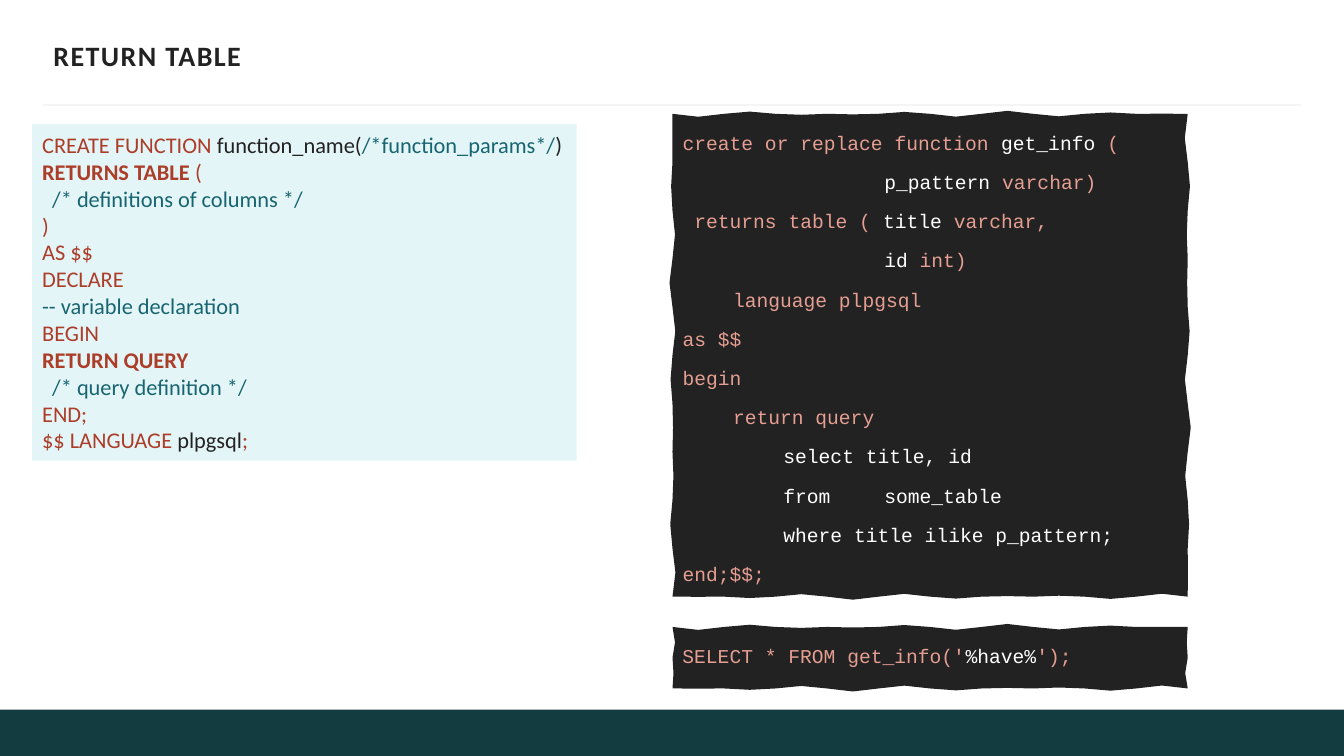
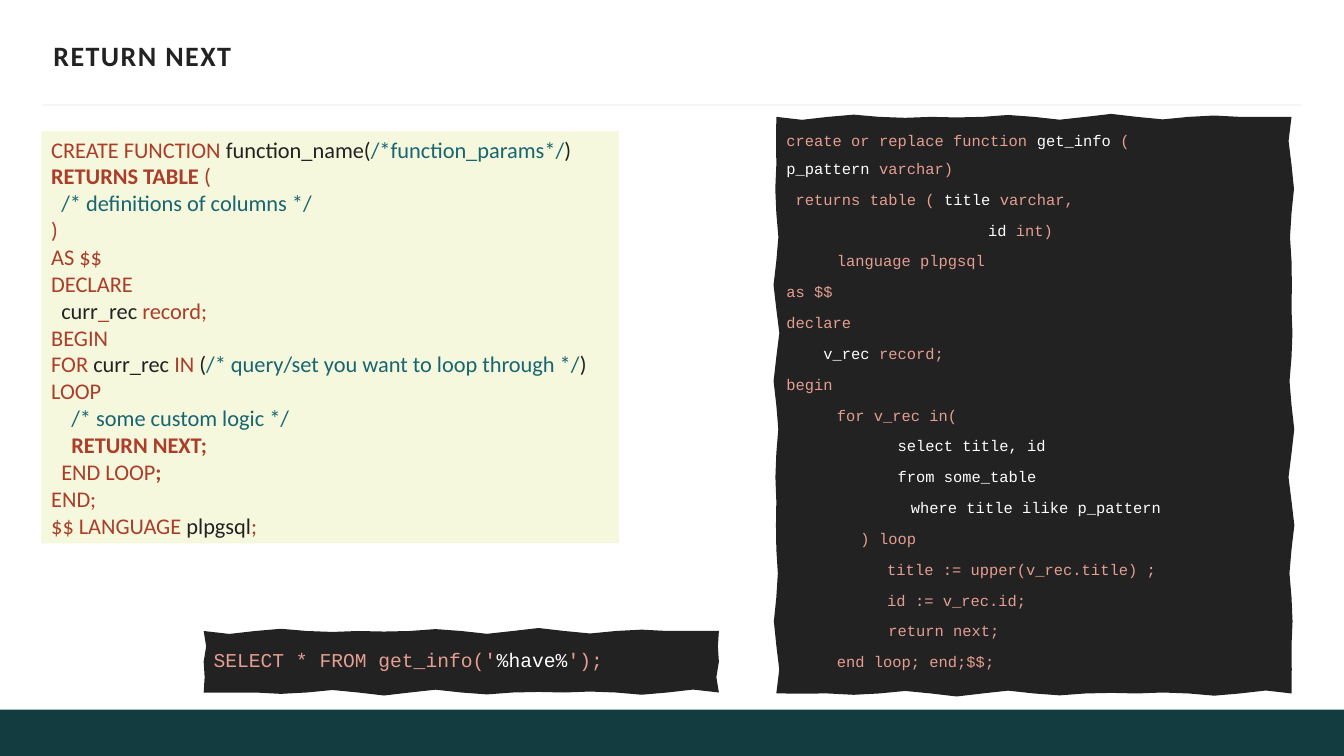
import math
from dataclasses import dataclass
from typing import NamedTuple

from lxml import etree
from pptx import Presentation
from pptx.dml.color import RGBColor
from pptx.enum.shapes import MSO_CONNECTOR, MSO_SHAPE
from pptx.enum.text import MSO_ANCHOR, MSO_AUTO_SIZE, PP_ALIGN
from pptx.oxml.ns import qn
from pptx.util import Emu, Pt

RECT = MSO_SHAPE.RECTANGLE
STRAIGHT = MSO_CONNECTOR.STRAIGHT
TOP, MIDDLE = MSO_ANCHOR.TOP, MSO_ANCHOR.MIDDLE
LEFT = PP_ALIGN.LEFT
NO_AUTOFIT = MSO_AUTO_SIZE.NONE

PX = 9144
WIDTH, HEIGHT = 1333, 750
INSET_X, INSET_Y = 10, 5
TAB, TAB_COUNT = 50, 10
WAVE, WAVE_HEIGHT, WAVE_POINTS = 100, 3, 4

WHITE = RGBColor(0xFF, 0xFF, 0xFF)
INK = RGBColor(0x22, 0x22, 0x22)
TEAL = RGBColor(0x13, 0x3C, 0x41)
RULE = RGBColor(0xF5, 0xF5, 0xF5)
RED = RGBColor(0xAB, 0x3D, 0x29)
NOTE = RGBColor(0x17, 0x65, 0x71)
SALMON = RGBColor(0xE5, 0x9E, 0x91)
PALE_BLUE = RGBColor(0xE4, 0xF5, 0xF7)
PALE_YELLOW = RGBColor(0xF5, 0xF8, 0xDD)

SANS, MONO = "Calibri", "Courier New"


class Span(NamedTuple):
    text: str
    color: RGBColor
    bold: bool = False


class Box(NamedTuple):
    x: int
    y: int
    w: int
    h: int


Line = list[Span]


@dataclass
class SyntaxCard:
    box: Box
    fill: RGBColor
    lines: list[Line]


@dataclass
class CodePanel:
    box: Box
    lines: list[Line]
    size: int = 14


@dataclass
class Page:
    title: str
    card: SyntaxCard
    panels: list[CodePanel]


def red(text: str, bold: bool = False) -> Span:
    return Span(text, RED, bold)


def ink(text: str) -> Span:
    return Span(text, INK)


def note(text: str) -> Span:
    return Span(text, NOTE)


def salmon(text: str) -> Span:
    return Span(text, SALMON)


def white(text: str) -> Span:
    return Span(text, WHITE)


SYNTAX_START = [
    [red("CREATE FUNCTION "), ink("function_name("), note("/*function_params*/"), ink(")")],
    [red("RETURNS TABLE ", True), red("(")],
    [note("  /* definitions of columns */")],
    [red(")")],
    [red("AS $$")],
    [red("DECLARE")],
]
SYNTAX_END = [
    [red("END;")],
    [red("$$ LANGUAGE "), ink("plpgsql"), red(";")],
]
CODE_RETURNS = [
    [salmon(" returns table ( "), white("title "), salmon("varchar,")],
    [salmon("\t\t\t\t"), white("id "), salmon("int)")],
    [salmon("\tlanguage plpgsql")],
    [salmon("as $$")],
]
CODE_CALL = [[salmon("SELECT * FROM get_info('"), white("%have%"), salmon("');")]]

PAGES = [
    Page(
        "RETURN TABLE",
        SyntaxCard(Box(32, 123, 540, 334), PALE_BLUE, [
            *SYNTAX_START,
            [note("-- variable declaration")],
            [red("BEGIN")],
            [red("RETURN QUERY", True)],
            [note("  /* query definition */")],
            *SYNTAX_END,
        ]),
        [
            CodePanel(Box(667, 113, 511, 479), [
                [salmon("create or replace function "), white("get_info "), salmon("(")],
                [salmon("\t\t\t\t"), white("p_pattern"), salmon(" varchar)")],
                *CODE_RETURNS,
                [salmon("begin")],
                [salmon("\treturn query")],
                [white("\t\tselect title, id")],
                [white("\t\tfrom \tsome_table")],
                [white("\t\twhere title ilike p_pattern;")],
                [salmon("end;$$;")],
            ]),
            CodePanel(Box(667, 622, 511, 61), CODE_CALL),
        ],
    ),
    Page(
        "RETURN NEXT",
        SyntaxCard(Box(41, 130, 573, 409), PALE_YELLOW, [
            *SYNTAX_START,
            [ink("  curr"), red("_"), ink("rec"), red(" record;")],
            [red("BEGIN")],
            [red("FOR "), ink("curr_rec "), red("IN "), ink("("),
             note("/* query/set you want to loop through */"), ink(")")],
            [red("LOOP")],
            [note("    /* some custom logic */")],
            [red("    RETURN NEXT;", True)],
            [red("  END LOOP"), red(";", True)],
            *SYNTAX_END,
        ]),
        [
            CodePanel(Box(770, 116, 511, 572), [
                [salmon("create or replace function "), white("get_info "),
                 salmon("(\t\t\t\t"), white("p_pattern"), salmon(" varchar)")],
                *CODE_RETURNS,
                [salmon("declare")],
                [white("    v_rec"), salmon(" record;")],
                [salmon("begin")],
                [salmon("\tfor v_rec in(")],
                [white("            select title, id")],
                [white("            from some_table")],
                [white("\t        where title ilike p_pattern")],
                [salmon("        ) loop")],
                [salmon("\t\ttitle := upper(v_rec.title) ;")],
                [salmon("\t\tid := v_rec.id;")],
                [salmon("           return next;")],
                [salmon("\tend loop; end;$$;")],
            ], 11),
            CodePanel(Box(202, 626, 511, 61), CODE_CALL),
        ],
    ),
]


def px(value: float) -> Emu:
    return Emu(round(value * PX))


def paint(sp, color: RGBColor) -> None:
    sp.shadow.inherit = False
    sp.fill.solid()
    sp.fill.fore_color.rgb = color
    sp.line.fill.background()


def add_rect(s, box: Box, color: RGBColor):
    sp = s.shapes.add_shape(RECT, *map(px, box))
    paint(sp, color)
    return sp


def add_tabs(p) -> None:
    tabs = etree.SubElement(p._p.get_or_add_pPr(), qn("a:tabLst"))
    for i in range(1, TAB_COUNT + 1):
        etree.SubElement(tabs, qn("a:tab"), pos=str(px(i * TAB)), algn="l")


def write_lines(tf, lines: list[Line], font: str, size: int) -> None:
    tf.word_wrap = True
    for i, line in enumerate(lines):
        p = tf.add_paragraph() if i else tf.paragraphs[0]
        p.alignment = LEFT
        for span in line:
            r = p.add_run()
            r.text = span.text
            r.font.name = font
            r.font.size = Pt(size)
            r.font.bold = span.bold
            r.font.color.rgb = span.color


def add_frame(s, title: str) -> None:
    add_rect(s, Box(0, 704, WIDTH, 46), TEAL)
    rule = s.shapes.add_connector(STRAIGHT, px(43), px(104), px(1290), px(104))
    rule.line.color.rgb = RULE
    rule.line.width = Pt(1.5)
    etree.SubElement(rule._element.spPr, qn("a:effectLst"))

    sp = s.shapes.title
    sp.left, sp.top, sp.width, sp.height = map(px, Box(53, 33, 1229, 44))
    tf = sp.text_frame
    tf.text = title
    tf.auto_size = NO_AUTOFIT
    tf.word_wrap = False
    tf.vertical_anchor = MIDDLE
    tf.margin_left = tf.margin_right = 0
    p = tf.paragraphs[0]
    p.alignment = LEFT
    font = p.runs[0].font
    font.name = SANS
    font.size = Pt(20)
    font.bold = True
    font.color.rgb = INK
    p.runs[0]._r.get_or_add_rPr().set("spc", "100")


def add_card(s, card: SyntaxCard) -> None:
    tf = add_rect(s, card.box, card.fill).text_frame
    tf.vertical_anchor = MIDDLE
    write_lines(tf, card.lines, SANS, 16)


def wavy_outline(box: Box) -> list[tuple[Emu, Emu]]:
    x, y, w, h = box
    corners = [(x, y), (x + w, y), (x + w, y + h), (x, y + h)]
    points = []
    for (x0, y0), (x1, y1) in zip(corners, corners[1:] + corners[:1]):
        length = math.dist((x0, y0), (x1, y1))
        dx, dy = (x1 - x0) / length, (y1 - y0) / length
        waves = max(1, round(length / WAVE))
        steps = waves * WAVE_POINTS
        for i in range(steps):
            u = i / steps
            off = WAVE_HEIGHT * math.sin(2 * math.pi * waves * u) * math.cos(5 * u)
            along = length * u
            points.append((px(x0 + dx * along - dy * off), px(y0 + dy * along + dx * off)))
    return points


def add_panel(s, panel: CodePanel) -> None:
    start, *rest = wavy_outline(panel.box)
    builder = s.shapes.build_freeform(*start)
    builder.add_line_segments(rest, close=True)
    sp = builder.convert_to_shape()
    paint(sp, INK)

    tf = sp.text_frame
    tf.vertical_anchor = TOP
    tf.margin_left = tf.margin_right = px(panel.box.x + INSET_X) - sp.left
    tf.margin_top = px(panel.box.y + INSET_Y) - sp.top
    write_lines(tf, panel.lines, MONO, panel.size)
    for i, p in enumerate(tf.paragraphs):
        add_tabs(p)
        p.line_spacing = 1.5
        p.space_before = Pt(panel.size * 0.2) if i else 0


def main() -> None:
    prs = Presentation()
    prs.slide_width, prs.slide_height = px(WIDTH), px(HEIGHT)
    title_only = prs.slide_layouts[5]
    for page in PAGES:
        s = prs.slides.add_slide(title_only)
        add_frame(s, page.title)
        add_card(s, page.card)
        for panel in page.panels:
            add_panel(s, panel)
    prs.save("out.pptx")


if __name__ == "__main__":
    main()
